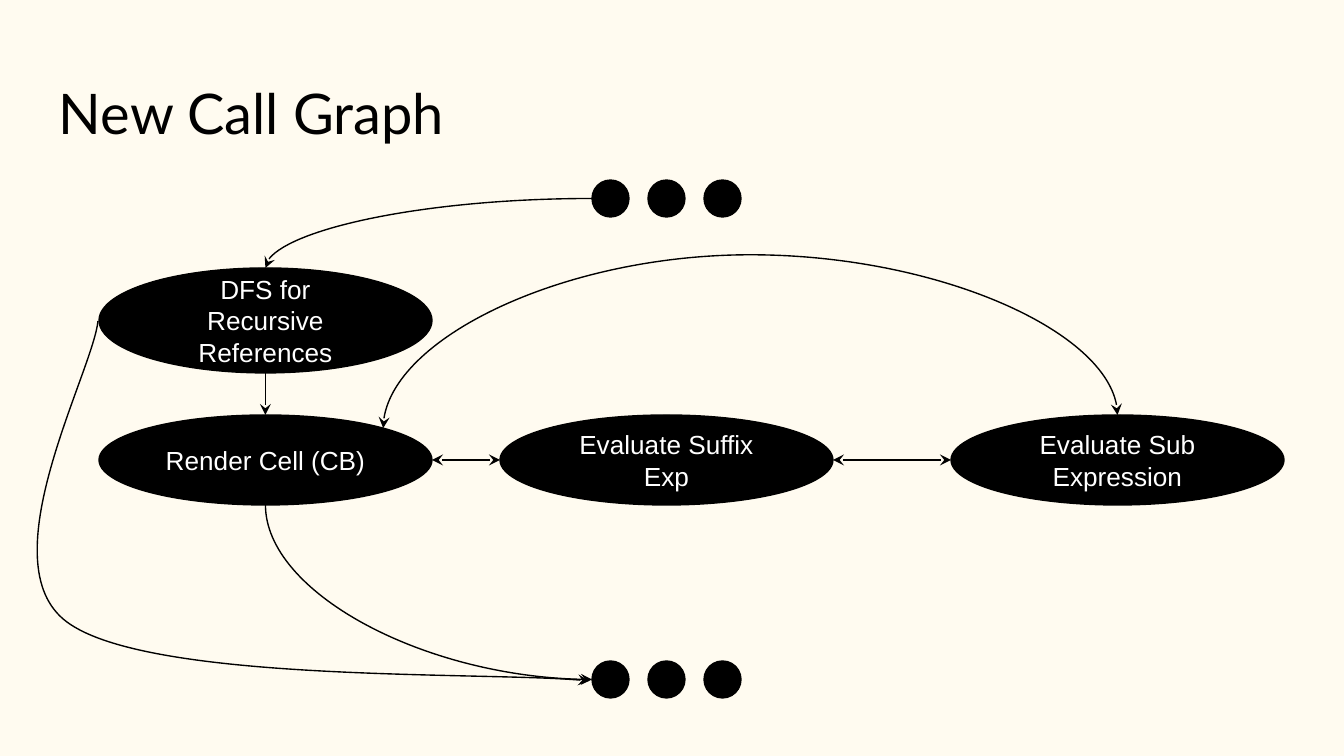
from math import cos, pi, sin

from lxml.etree import SubElement
from pptx import Presentation
from pptx.dml.color import RGBColor
from pptx.enum.shapes import MSO_CONNECTOR, MSO_SHAPE
from pptx.enum.text import MSO_ANCHOR, PP_ALIGN
from pptx.oxml.ns import qn
from pptx.util import Pt

PX = 914400 / 134.4
INK = RGBColor(0x00, 0x00, 0x00)
CREAM = RGBColor(0xFF, 0xFB, 0xF0)
WHITE = RGBColor(0xFF, 0xFF, 0xFF)
TOP, LEFT, LOW, RIGHT, CORNER = 0, 2, 4, 6, 7


def emu(px):
    """Turn px into EMU."""
    return round(px * PX)


def write(shape, text, font, size, color, align=PP_ALIGN.LEFT):
    """Put one run of text in a shape."""
    frame = shape.text_frame
    frame.word_wrap = True
    frame.margin_left = frame.margin_right = emu(13)
    frame.margin_top = frame.margin_bottom = emu(13)
    para = frame.paragraphs[0]
    para.alignment = align
    run = para.add_run()
    run.text = text
    run.font.name = font
    run.font.size = Pt(size)
    run.font.color.rgb = color


def oval(slide, x, y, wide, high, text=None):
    """Draw a black ellipse, with a label if one is given."""
    shape = slide.shapes.add_shape(MSO_SHAPE.OVAL, *map(emu, (x, y, wide, high)))
    shape.shadow.inherit = False
    shape.fill.solid()
    shape.fill.fore_color.rgb = INK
    shape.line.color.rgb = INK
    shape.line.width = Pt(0.75)
    if text:
        write(shape, text, "Arial", 14, WHITE, PP_ALIGN.CENTER)
        shape.text_frame.vertical_anchor = MSO_ANCHOR.MIDDLE
    return shape


def dots(slide, y):
    """Draw a row of three dots and return the first."""
    return [oval(slide, 592 + 56 * col, y, 37, 37) for col in range(3)][0]


def site(shape, index):
    """Find a glue point, counted anticlockwise from the top."""
    turn = index * pi / 4
    half_w, half_h = shape.width / 2, shape.height / 2
    return (round(shape.left + half_w * (1 - sin(turn))),
            round(shape.top + half_h * (1 - cos(turn))))


def tip(shape, both=False):
    """Give a line its ink and stealth arrowheads."""
    shape.line.color.rgb = INK
    shape.line.width = Pt(0.75)
    line = shape.line._get_or_add_ln()
    for tag in ("a:headEnd", "a:tailEnd") if both else ("a:tailEnd",):
        SubElement(line, qn(tag)).set("type", "stealth")


def link(slide, start, end, both=False, kind=None, turn=0, bend=None):
    """Join two glue points with a straight or curved arrow."""
    form = MSO_CONNECTOR.CURVE if kind else MSO_CONNECTOR.STRAIGHT
    line = slide.shapes.add_connector(form, *site(*start), *site(*end))
    tip(line, both)
    props = line._element.spPr
    SubElement(props, qn("a:effectLst"))
    if kind:
        geom = props.find(qn("a:prstGeom"))
        geom.set("prst", kind)
        if bend is not None:
            guide = SubElement(geom.find(qn("a:avLst")), qn("a:gd"))
            guide.set("name", "adj1")
            guide.set("fmla", f"val {bend}")
    if turn:
        wide, high = line.width, line.height
        line.left += (wide - high) // 2
        line.top += (high - wide) // 2
        line.width, line.height = high, wide
        frame = props.find(qn("a:xfrm"))
        frame.set("rot", str(turn * 60000))
        frame.set("flipH", str(int(turn == 270)))
    glue = line._element.nvCxnSpPr.cNvCxnSpPr
    ends = (glue.get_or_add_stCxn(), start), (glue.get_or_add_endCxn(), end)
    for node, (shape, index) in ends:
        node.id, node.idx = shape.shape_id, index


def sweep(slide, start, *points):
    """Draw a Bezier arrow from a start and triples of points."""
    pen = slide.shapes.build_freeform(*map(emu, start))
    pen.add_line_segments([tuple(map(emu, spot)) for spot in points], close=False)
    shape = pen.convert_to_shape()
    shape.shadow.inherit = False
    shape.fill.background()
    tip(shape)
    track = next(shape._element.iter(qn("a:path")))
    steps = track.findall(qn("a:lnTo"))
    for first in range(0, len(steps), 3):
        curve = SubElement(track, qn("a:cubicBezTo"))
        for step in steps[first:first + 3]:
            curve.append(step[0])
            track.remove(step)


def main():
    """Build the call graph slide."""
    deck = Presentation()
    deck.slide_width, deck.slide_height = emu(1344), emu(756)
    slide = deck.slides.add_slide(deck.slide_layouts[6])
    slide.background.fill.solid()
    slide.background.fill.fore_color.rgb = CREAM

    title = slide.shapes.add_textbox(*map(emu, (46, 66, 1252, 90)))
    write(title, "New Call Graph", "Lato", 30, INK)

    cell = oval(slide, 99, 415, 333, 90, "Render Cell (CB)")
    suffix = oval(slide, 500, 415, 333, 90, "Evaluate Suffix Exp")
    sub = oval(slide, 951, 415, 333, 90, "Evaluate Sub Expression")
    search = oval(slide, 99, 268, 333, 105, "DFS for Recursive References")
    above, below = dots(slide, 180), dots(slide, 661)

    link(slide, (cell, RIGHT), (suffix, LEFT), both=True)
    link(slide, (suffix, RIGHT), (sub, LEFT), both=True)
    link(slide, (cell, LOW), (below, LEFT), kind="curvedConnector2", turn=270)
    link(slide, (sub, TOP), (cell, CORNER), both=True,
         kind="curvedConnector3", turn=90, bend=-1216400)
    link(slide, (above, LEFT), (search, TOP), kind="curvedConnector2")
    link(slide, (search, LOW), (cell, TOP),
         kind="curvedConnector3", turn=270, bend=50000)
    sweep(slide, (98, 321), (93, 372), (-13, 563), (67, 622),
          (149, 683), (501, 671), (589, 681))

    deck.save("out.pptx")


if __name__ == "__main__":
    main()
